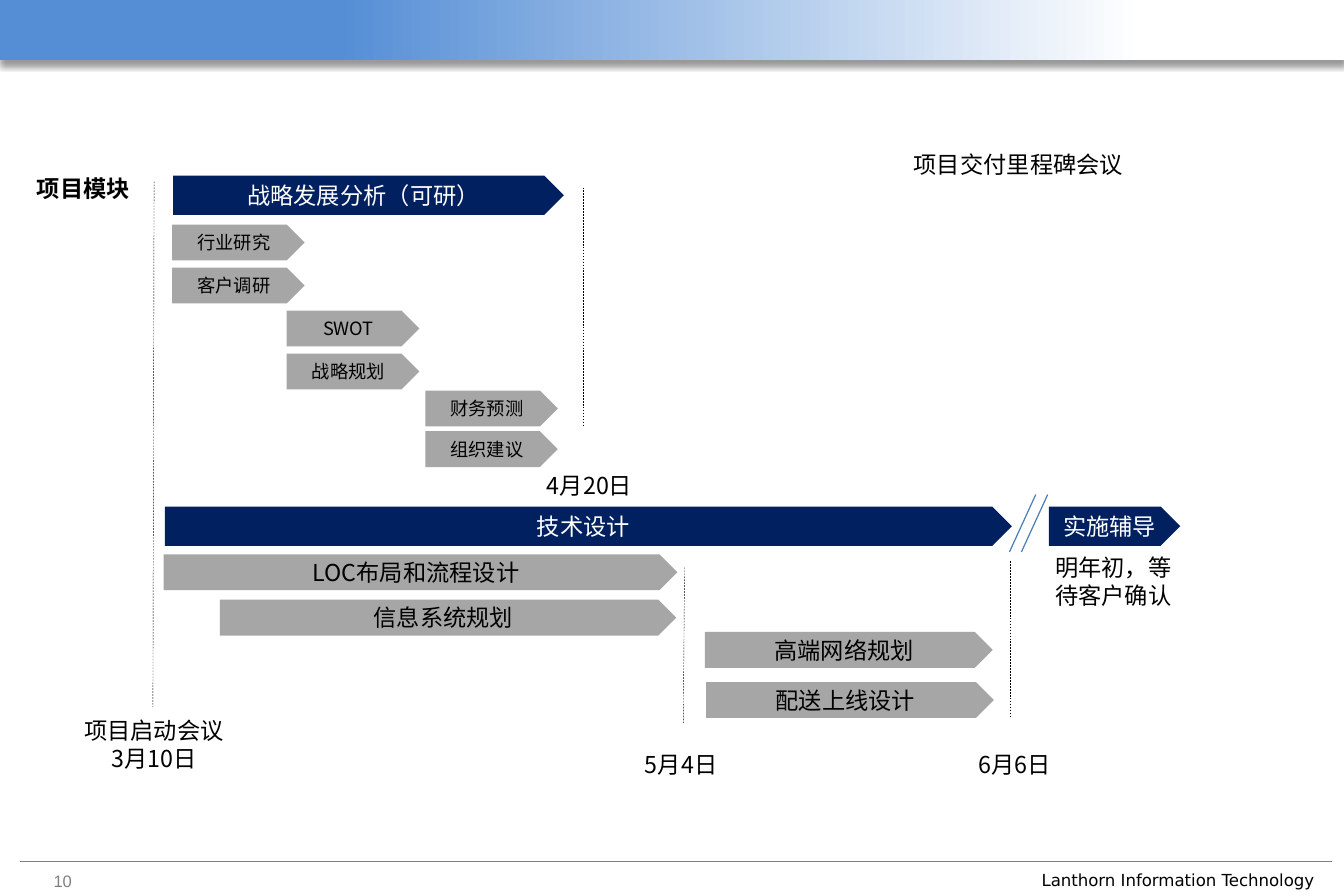
import dataclasses

import lxml.etree
import pptx
import pptx.dml.color
import pptx.enum.dml
import pptx.enum.shapes
import pptx.enum.text
import pptx.oxml
import pptx.oxml.ns
import pptx.util

CELL = pptx.util.Inches(0.1)
PAGE_COLUMNS, PAGE_ROWS = 112.5, 75
CHINESE = "Noto Sans CJK SC"
COLORS = {"navy": "002060", "gray": "A6A6A6", "sky": "558ED5", "slash": "4B7EBC",
          "rule": "808080", "black": "000000", "white": "FFFFFF"}
ALIGN = pptx.enum.text.PP_ALIGN
SHAPE = pptx.enum.shapes.MSO_SHAPE
SHADOW = """<a:effectLst xmlns:a="http://schemas.openxmlformats.org/drawingml/2006/main">
<a:outerShdw blurRad="50800" dist="38100" dir="5400000" algn="t" rotWithShape="0">
<a:srgbClr val="000000"><a:alpha val="40000"/></a:srgbClr></a:outerShdw></a:effectLst>"""


@dataclasses.dataclass
class Box:
    """An area of the page measured in grid columns and rows."""
    column: float
    row: float
    columns: float
    rows: float

    def inner(self, column, row, columns, rows):
        """Return a box placed relative to this one."""
        return Box(self.column + column, self.row + row, columns, rows)

    def point(self, column, row):
        """Return the page position of a point relative to this box."""
        return int((self.column + column) * CELL), int((self.row + row) * CELL)

    def frame(self):
        """Return left, top, width and height as lengths."""
        return [int(n * CELL) for n in (self.column, self.row, self.columns, self.rows)]


def color(name):
    """Look up a named color."""
    return pptx.dml.color.RGBColor.from_string(COLORS[name])


def write(frame, lines, size=14, ink="black", align=ALIGN.LEFT, bold=False, face=CHINESE):
    """Fill a text frame with one paragraph per line."""
    frame.word_wrap = True
    frame.text = "\n".join(lines)
    for para in frame.paragraphs:
        para.alignment = align
        font = para.font
        font.size, font.bold, font.name = pptx.util.Pt(size), bold, face
        font.color.rgb = color(ink)
        defaults = para._p.pPr.find(pptx.oxml.ns.qn("a:defRPr"))
        lxml.etree.SubElement(defaults, pptx.oxml.ns.qn("a:ea"), typeface=face)


def add_label(page, box, *lines, **style):
    """Add a text box."""
    write(page.shapes.add_textbox(*box.frame()).text_frame, lines, **style)


def add_bar(page, box, text, fill="gray", ink="black", size=14):
    """Add a task bar with a pointed end."""
    bar = page.shapes.add_shape(SHAPE.PENTAGON, *box.frame())
    bar.shadow.inherit = False
    bar.fill.solid()
    bar.fill.fore_color.rgb = color(fill)
    bar.line.fill.background()
    frame = bar.text_frame
    frame.margin_left = frame.margin_right = 0
    frame.vertical_anchor = pptx.enum.text.MSO_ANCHOR.MIDDLE
    write(frame, [text], size=size, ink=ink, align=ALIGN.CENTER)


def add_line(shapes, start, end, ink, width, dashed=False):
    """Add a straight line without a shadow."""
    line = shapes.add_connector(pptx.enum.shapes.MSO_CONNECTOR.STRAIGHT, *start, *end)
    line.line.color.rgb = color(ink)
    line.line.width = pptx.util.Pt(width)
    if dashed:
        line.line.dash_style = pptx.enum.dml.MSO_LINE.DASH
    lxml.etree.SubElement(line._element.spPr, pptx.oxml.ns.qn("a:effectLst"))


def add_header(page, box):
    """Draw the graded band across the top."""
    band = page.shapes.add_shape(SHAPE.RECTANGLE, *box.frame())
    band.line.fill.background()
    band.fill.gradient()
    band.fill.gradient_angle = 180
    for stop, (position, name) in zip(band.fill.gradient_stops, [(0.15, "white"), (0.75, "sky")]):
        stop.position = position
        stop.color.rgb = color(name)
    band._element.spPr.append(pptx.oxml.parse_xml(SHADOW))


def add_footer(page, box):
    """Draw the rule, the page number and the firm's name."""
    add_line(page.shapes, box.point(1.7, 0), box.point(111.5, 0), "rule", 0.5)
    add_label(page, box.inner(3.5, 0.3, 6.3, 3), "10", size=10, ink="rule", face="Arial")
    add_label(page, box.inner(86.2, 0.2, 26.5, 2.7), "Lanthorn Information Technology",
              size=10, face="DejaVu Sans")


def add_strategy(page, box):
    """Draw the strategy phase with its paired steps."""
    add_bar(page, box.inner(0.1, 0, 32.7, 3.3), "战略发展分析（可研）", "navy", "white")
    steps = [(0, 4.1, "行业研究"), (0, 7.7, "客户调研"), (9.6, 11.3, "SWOT"),
             (9.6, 14.9, "战略规划"), (21.2, 18, "财务预测"), (21.2, 21.4, "组织建议")]
    for column, row, text in steps:
        add_bar(page, box.inner(column, row, 11.1, 3), text, size=11)


def add_technology(page, box):
    """Draw the technical design phase with its tasks."""
    add_bar(page, box.inner(0.1, 0, 70.9, 3.3), "技术设计", "navy", "white")
    tasks = [(0, 4, 43, "LOC布局和流程设计"), (4.7, 7.8, 38.2, "信息系统规划"),
             (45.3, 10.5, 24.1, "高端网络规划"), (45.4, 14.7, 24.1, "配送上线设计")]
    for column, row, columns, text in tasks:
        add_bar(page, box.inner(column, row, columns, 3), text)


def add_support(page, box):
    """Draw the later support phase after a time break."""
    time_break = page.shapes.add_group_shape()
    for column in (0, 1):
        add_line(time_break.shapes, box.point(column + 2.2, 0), box.point(column, 4.8),
                 "slash", 0.75)
    add_bar(page, box.inner(3.3, 1, 11, 3.3), "实施辅导", "navy", "white")
    add_label(page, box.inner(2.4, 4.4, 12.6, 5.7), "明年初，等待客户确认", align=ALIGN.CENTER)


def add_milestones(page, box):
    """Draw the headings, milestone lines and dates."""
    add_label(page, box.inner(2.1, 14.1, 14.5, 3.4), "项目模块", bold=True)
    add_label(page, box.inner(75.5, 12.1, 23.3, 3.4), "项目交付里程碑会议")
    for top, column, row, end in [(12.9, 12.8, 15.2, 59.2), (48.8, 48.8, 15.7, 35.7),
                                  (57.3, 57.2, 47.5, 60.5), (84.6, 84.6, 47, 60)]:
        add_line(page.shapes, box.point(top, row), box.point(column, end), "black", 0.25, True)
    for column, row, date in [(44.8, 39, "4月20日"), (53, 62.3, "5月4日"), (80.9, 62.3, "6月6日")]:
        add_label(page, box.inner(column, row, 14, 3.4), date)
    add_label(page, box.inner(3.9, 59.5, 18, 5.7), "项目启动会议", "3月10日", align=ALIGN.CENTER)


def main():
    """Build the project schedule slide."""
    deck = pptx.Presentation()
    deck.slide_width = int(PAGE_COLUMNS * CELL)
    deck.slide_height = int(PAGE_ROWS * CELL)
    page = deck.slides.add_slide(deck.slide_layouts[6])
    whole = Box(0, 0, PAGE_COLUMNS, PAGE_ROWS)
    add_header(page, whole.inner(0, 0, PAGE_COLUMNS, 5))
    add_footer(page, whole.inner(0, 72.1, PAGE_COLUMNS, 2.9))
    add_milestones(page, whole)
    add_strategy(page, whole.inner(14.4, 14.7, 32.8, 24.4))
    add_technology(page, whole.inner(13.7, 42.4, 71, 17.7))
    add_support(page, whole.inner(84.5, 41.4, 15, 10.1))
    deck.save("out.pptx")


if __name__ == "__main__":
    main()
